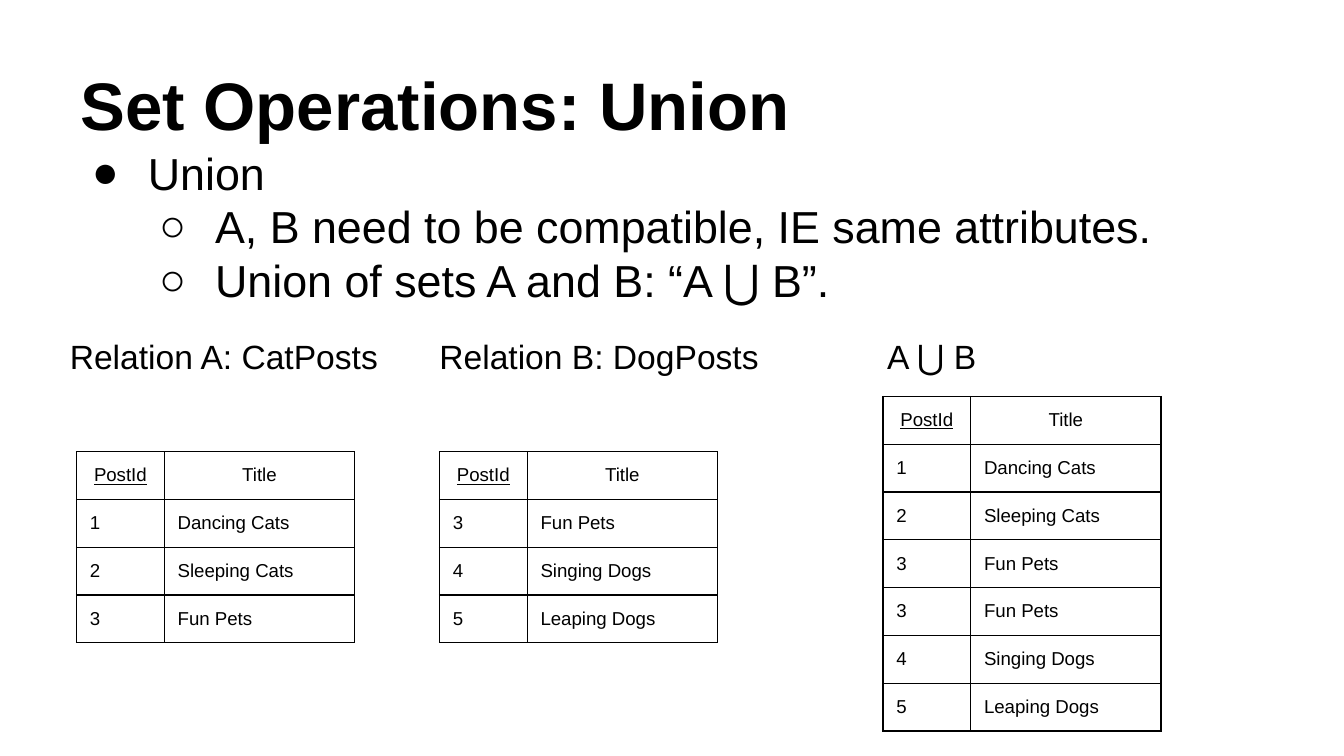
from dataclasses import dataclass

from lxml.etree import SubElement
from pptx import Presentation
from pptx.dml.color import RGBColor
from pptx.enum.text import MSO_ANCHOR, MSO_AUTO_SIZE, PP_ALIGN
from pptx.oxml.ns import qn
from pptx.slide import Slide
from pptx.util import Pt

BLACK = "000000"
FONT = "Arial"
INSET = 7.2
LABEL_TOP, LABEL_WIDTH, LABEL_HEIGHT = 172.8, 198, 43.9
COLUMN_WIDTHS = (47, 102)
ROW_HEIGHT = 23


@dataclass(frozen=True)
class Relation:
    placeholder: int
    label: str
    label_left: float
    table_left: float
    table_top: float
    posts: tuple


@dataclass(frozen=True)
class Bullet:
    text: str
    level: int
    symbol: str
    space_before: float


CAT_POSTS = (("1", "Dancing Cats"), ("2", "Sleeping Cats"), ("3", "Fun Pets"))
DOG_POSTS = (("3", "Fun Pets"), ("4", "Singing Dogs"), ("5", "Leaping Dogs"))

RELATIONS = (
    Relation(1, "Relation A: CatPosts", 30.2, 41, 242, CAT_POSTS),
    Relation(3, "Relation B: DogPosts", 228.2, 235.4, 242, DOG_POSTS),
    Relation(4, "A ⋃ B", 468, 473, 212.4, CAT_POSTS + DOG_POSTS),
)

BULLETS = (
    Bullet("Union", 0, "●", 6),
    Bullet("A, B need to be compatible, IE same attributes.", 1, "○", 0),
    Bullet("Union of sets A and B: “A ⋃ B”.", 1, "○", 0),
)


def color(value: str) -> RGBColor:
    return RGBColor.from_string(value)


def add_span(para, text: str, size: float, bold: bool = False, underline: bool = False) -> None:
    span = para.add_run()
    span.text = text
    span.font.name = FONT
    span.font.size = Pt(size)
    span.font.bold = bold
    span.font.underline = underline
    span.font.color.rgb = color(BLACK)


def place_box(box, left: float, top: float, width: float, height: float, anchor=MSO_ANCHOR.TOP):
    box.left, box.top, box.width, box.height = Pt(left), Pt(top), Pt(width), Pt(height)
    frame = box.text_frame
    frame.word_wrap = True
    frame.auto_size = MSO_AUTO_SIZE.NONE
    frame.vertical_anchor = anchor
    frame.margin_left = frame.margin_right = Pt(INSET)
    frame.margin_top = frame.margin_bottom = Pt(INSET)
    return frame


def format_para(para, space_before: float, left: float = 0, hanging: float = 0, symbol: str = "") -> None:
    para.alignment = PP_ALIGN.LEFT
    para.space_before = Pt(space_before)
    properties = para._p.get_or_add_pPr()
    properties.set("marL", str(Pt(left)))
    properties.set("indent", str(-Pt(hanging)))
    if symbol:
        bullet_color = SubElement(properties, qn("a:buClr"))
        SubElement(bullet_color, qn("a:srgbClr"), val=BLACK)
        SubElement(properties, qn("a:buFont"), typeface=FONT)
        SubElement(properties, qn("a:buChar"), char=symbol)
    else:
        SubElement(properties, qn("a:buNone"))


def add_title(page: Slide, text: str) -> None:
    frame = place_box(page.shapes.title, 36, 16.6, 648, 67.7, MSO_ANCHOR.BOTTOM)
    para = frame.paragraphs[0]
    format_para(para, 0)
    add_span(para, text, 36, bold=True)


def add_bullets(page: Slide, bullets: tuple) -> None:
    frame = place_box(page.placeholders[2], 36, 70.6, 657.4, 105.1)
    for index, bullet in enumerate(bullets):
        para = frame.add_paragraph() if index else frame.paragraphs[0]
        para.level = bullet.level
        format_para(para, bullet.space_before, 36 * (bullet.level + 1), 30, bullet.symbol)
        add_span(para, bullet.text, 24)


def add_borders(cell) -> None:
    properties = cell._tc.get_or_add_tcPr()
    for side in ("a:lnL", "a:lnR", "a:lnT", "a:lnB"):
        line = SubElement(properties, qn(side), w=str(Pt(0.75)))
        fill = SubElement(line, qn("a:solidFill"))
        SubElement(fill, qn("a:srgbClr"), val=BLACK)


def fill_cell(cell, text: str, header: bool, key: bool) -> None:
    cell.margin_left = cell.margin_right = Pt(INSET)
    cell.margin_top = cell.margin_bottom = Pt(INSET)
    add_borders(cell)
    cell.fill.background()
    para = cell.text_frame.paragraphs[0]
    para.alignment = PP_ALIGN.CENTER if header else PP_ALIGN.LEFT
    add_span(para, text, 10, underline=header and key)


def add_relation(page: Slide, relation: Relation) -> None:
    box = page.placeholders[relation.placeholder]
    frame = place_box(box, relation.label_left, LABEL_TOP, LABEL_WIDTH, LABEL_HEIGHT)
    format_para(frame.paragraphs[0], 6)
    add_span(frame.paragraphs[0], relation.label, 18)

    rows = (("PostId", "Title"),) + relation.posts
    table = page.shapes.add_table(
        len(rows), len(COLUMN_WIDTHS), Pt(relation.table_left), Pt(relation.table_top),
        Pt(sum(COLUMN_WIDTHS)), Pt(ROW_HEIGHT * len(rows)),
    ).table
    table.first_row = table.horz_banding = False
    for column, width in zip(table.columns, COLUMN_WIDTHS):
        column.width = Pt(width)
    for row_index, row in enumerate(rows):
        for column_index, text in enumerate(row):
            fill_cell(table.cell(row_index, column_index), text, row_index == 0, column_index == 0)


def main() -> None:
    deck = Presentation()
    deck.slide_width, deck.slide_height = Pt(720), Pt(405)
    page = deck.slides.add_slide(deck.slide_layouts.get_by_name("Comparison"))
    add_title(page, "Set Operations: Union")
    add_bullets(page, BULLETS)
    for relation in RELATIONS:
        add_relation(page, relation)
    deck.save("out.pptx")


if __name__ == "__main__":
    main()
